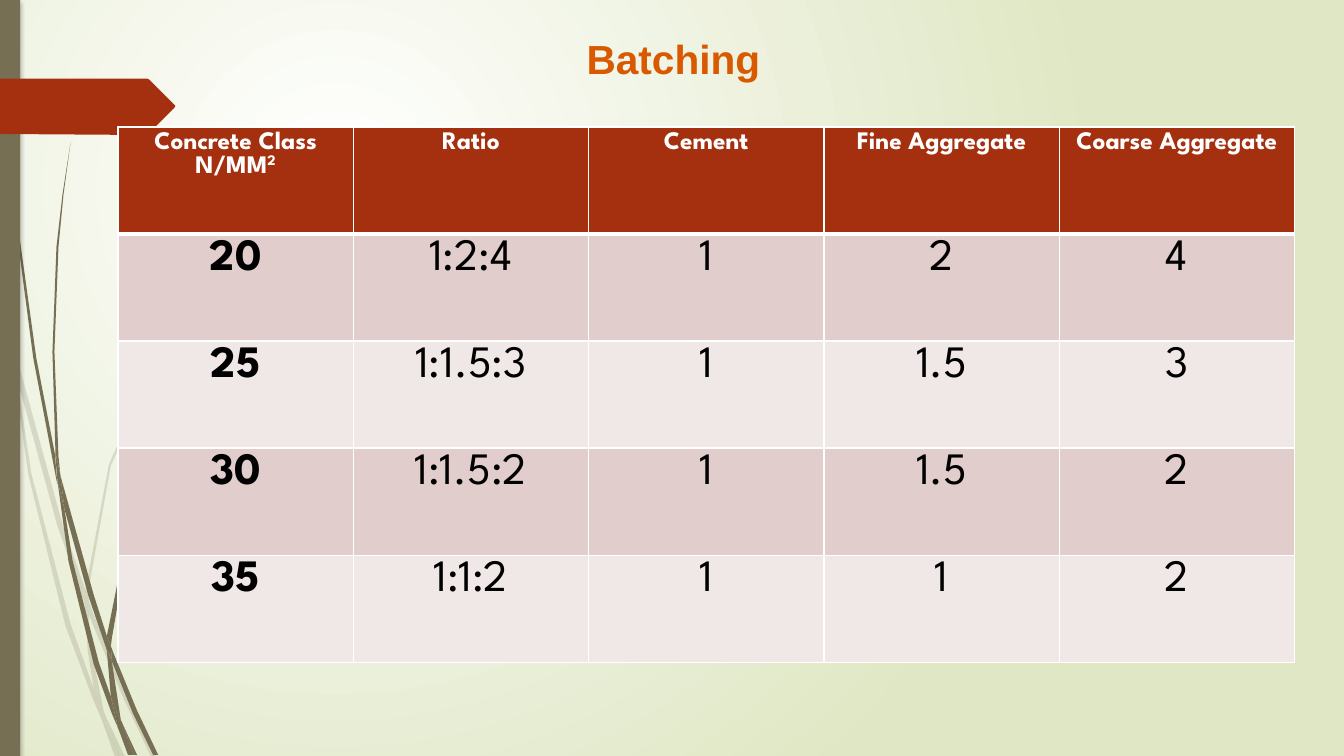
from lxml.etree import SubElement
from pptx import Presentation
from pptx.dml.color import RGBColor
from pptx.enum.shapes import MSO_SHAPE as Preset
from pptx.enum.text import MSO_ANCHOR as Anchor, PP_ALIGN as Align
from pptx.oxml.ns import qn
from pptx.util import Inches, Pt

COLORS = {
    "glow": "FFFFFF", "backdrop": "DFE7C4", "stalk": "766F54", "accent": "A53010",
    "title": "D95900", "white": "FFFFFF", "text": "000000",
    "odd_row": "E1CDCC", "even_row": "F0E8E7",
}
HUNDREDTH = Inches(0.01)

FAINT_STALKS = [
    [(11, 350), (8, 322), (0, 282), (0, 299), (10, 344)],
    [(57, 522), (84, 599), (85, 586), (62, 520), (14, 345), (17, 376)],
    [(92, 607), (88, 596), (88, 610), (123, 694), (150, 751), (155, 751), (127, 691)],
    [(119, 751), (124, 751), (105, 711)],
    [(93, 683), (70, 619), (31, 469), (17, 376), (11, 350), (28, 470), (65, 621),
     (92, 693), (101, 714), (99, 707)],
    [(84, 599), (87, 646), (93, 683), (96, 692), (105, 711), (103, 706), (91, 646),
     (88, 610), (88, 608)],
    [(88, 584), (110, 462), (160, 349), (229, 245), (268, 198), (290, 175), (312, 153),
     (289, 175), (268, 197), (228, 244), (158, 348), (108, 461), (85, 584), (85, 586),
     (88, 596)],
    [(101, 714), (114, 751), (119, 751)],
    [(88, 608), (88, 610), (88, 596), (85, 586), (84, 599)],
    [(96, 692), (93, 683), (99, 707), (101, 714), (119, 751), (105, 711)],
]
DARK_STALKS = [
    [(7, 110), (17, 233), (33, 355), (56, 476), (57, 481), (55, 457), (55, 453),
     (36, 355), (19, 232), (8, 109), (5, 48), (4, 0), (3, 0), (4, 48)],
    [(88, 592), (106, 645), (106, 633), (106, 631), (93, 590), (60, 472), (64, 505)],
    [(113, 649), (110, 641), (111, 656), (132, 708), (152, 749), (157, 749), (136, 705)],
    [(110, 691), (98, 657), (72, 556), (64, 505), (57, 477), (68, 557), (93, 659),
     (111, 708), (117, 722), (116, 717)],
    [(60, 472), (58, 453), (54, 349), (58, 245), (63, 193), (70, 141), (62, 193),
     (56, 245), (52, 349), (55, 449), (60, 471)],
    [(133, 749), (136, 749), (122, 719)],
    [(57, 477), (64, 505), (60, 472), (55, 449), (55, 453)],
    [(111, 633), (125, 552), (158, 476), (205, 406), (231, 374), (245, 359), (261, 344),
     (260, 344), (245, 358), (231, 373), (204, 405), (156, 474), (122, 551), (106, 631),
     (110, 641)],
    [(117, 722), (127, 749), (131, 749)],
    [(106, 645), (110, 691), (116, 706), (122, 719), (120, 715), (111, 656), (109, 651)],
    [(106, 645), (109, 650), (111, 656), (110, 641), (106, 631), (106, 633)],
    [(116, 706), (110, 691), (116, 717), (117, 722), (130, 749), (133, 749), (122, 719)],
]
ARROW_TAG = [(0, 0), (146, 0), (148, 1), (173, 26), (174, 27), (173, 29), (148, 54),
             (146, 56), (0, 55)]

BATCHES = [
    ["20", "1:2:4", "1", "2", "4"],
    ["25", "1:1.5:3", "1", "1.5", "3"],
    ["30", "1:1.5:2", "1", "1.5", "2"],
    ["35", "1:1:2", "1", "1", "2"],
]
HEADINGS = ["Concrete Class", "Ratio", "Cement", "Fine Aggregate", "Coarse Aggregate"]


def rgb(name):
    """Return the named palette colour."""
    return RGBColor.from_string(COLORS[name])


def paint(shape, color):
    """Give a shape a plain fill with neither line nor shadow."""
    shape.fill.solid()
    shape.fill.fore_color.rgb = rgb(color)
    shape.line.fill.background()
    shape.shadow.inherit = False


def style(paragraph, font_name, size, color, bold):
    """Centre a paragraph and set its font."""
    paragraph.alignment = Align.CENTER
    font = paragraph.font
    font.name, font.size, font.bold = font_name, Pt(size), bold
    font.color.rgb = rgb(color)


def add_outline(shapes, points, left, top, color):
    """Draw a closed outline, in hundredths of an inch from left and top."""
    builder = shapes.build_freeform(*points[0], scale=HUNDREDTH)
    builder.add_line_segments(points[1:], close=True)
    outline = builder.convert_to_shape(left, top)
    paint(outline, color)
    return outline


def add_backdrop(slide):
    """Fill the background with a radial glow."""
    fill = slide.background.fill
    fill.gradient()
    for stop, color in zip(fill.gradient_stops, ("glow", "backdrop")):
        stop.color.rgb = rgb(color)
    gradient = slide.element.find(".//" + qn("a:gradFill"))
    gradient.remove(gradient.find(qn("a:lin")))
    radial = SubElement(gradient, qn("a:path"), path="circle")
    SubElement(radial, qn("a:fillToRect"), l="25000", t="25000", r="75000", b="75000")


def add_stalks(slide, left, top, stalks, alpha=100):
    """Draw a group of grass stalks at the given opacity."""
    group = slide.shapes.add_group_shape()
    for points in stalks:
        stalk = add_outline(group.shapes, points, left, top, "stalk")
        if alpha < 100:
            tint = stalk.element.spPr.find(qn("a:solidFill"))[0]
            SubElement(tint, qn("a:alpha"), val=str(alpha * 1000))


def add_side_bar(slide, left, top, width, height):
    """Draw the shadowed bar and the arrow tag on the slide's left edge."""
    bar = slide.shapes.add_shape(Preset.RECTANGLE, left, top, width, height)
    paint(bar, "stalk")
    effects = bar.element.spPr.find(qn("a:effectLst"))
    shadow = SubElement(effects, qn("a:outerShdw"), blurRad=str(Pt(3)),
                        dist=str(Pt(2)), dir="5400000", rotWithShape="0")
    shade = SubElement(shadow, qn("a:srgbClr"), val=COLORS["text"])
    SubElement(shade, qn("a:alpha"), val="25000")
    add_outline(slide.shapes, ARROW_TAG, left, top + Inches(0.78), "accent")


def add_title(slide, left, top, width, height):
    """Place the slide title."""
    title = slide.shapes.title
    title.left, title.top, title.width, title.height = left, top, width, height
    title.text_frame.text = "Batching"
    title.text_frame.vertical_anchor = Anchor.MIDDLE
    style(title.text_frame.paragraphs[0], "Arial", 29, "title", True)


def add_borders(cell, widths):
    """Draw white cell borders, left, right, top and bottom."""
    properties = cell._tc.get_or_add_tcPr()
    for side, width in zip("LRTB", widths):
        line = SubElement(properties, qn(f"a:ln{side}"), w=str(Pt(width)))
        SubElement(SubElement(line, qn("a:solidFill")), qn("a:srgbClr"),
                   val=COLORS["white"])


def add_batch_table(slide, left, top, width, height):
    """Build the table of mix ratios by concrete class."""
    rows = [HEADINGS] + BATCHES
    table = slide.shapes.add_table(len(rows), len(HEADINGS), left, top, width, height).table
    table.first_col = True
    for r, row in enumerate(rows):
        for c, value in enumerate(row):
            cell = table.cell(r, c)
            cell.text = value
            add_borders(cell, (0.96, 0.96, 3 if r == 1 else 0.96, 3 if r == 0 else 0.96))
            cell.fill.solid()
            cell.fill.fore_color.rgb = rgb(
                "accent" if r == 0 else "odd_row" if r % 2 else "even_row")
            if (r, c) == (0, 0):
                unit = cell.text_frame.add_paragraph()
                unit.add_run().text = "N/MM"
                power = unit.add_run()
                power.text = "2"
                power.font._element.set("baseline", "30000")
            for paragraph in cell.text_frame.paragraphs:
                style(paragraph, "League Spartan", 32 if r else 18,
                      "text" if r else "white", r == 0 or c == 0)


def main():
    """Build and save the slide."""
    deck = Presentation()
    deck.slide_width, deck.slide_height = Inches(13.33), Inches(7.5)
    slide = deck.slides.add_slide(deck.slide_layouts[5])
    add_backdrop(slide)
    add_stalks(slide, 0, 0, FAINT_STALKS, alpha=20)
    add_stalks(slide, 0, 0, DARK_STALKS)
    add_side_bar(slide, 0, 0, Inches(0.2), deck.slide_height)
    add_title(slide, Inches(2.18), Inches(0.29), Inches(9), Inches(0.57))
    add_batch_table(slide, Inches(1.17), Inches(1.26), Inches(11.67), Inches(5.31))
    deck.save("out.pptx")


if __name__ == "__main__":
    main()
